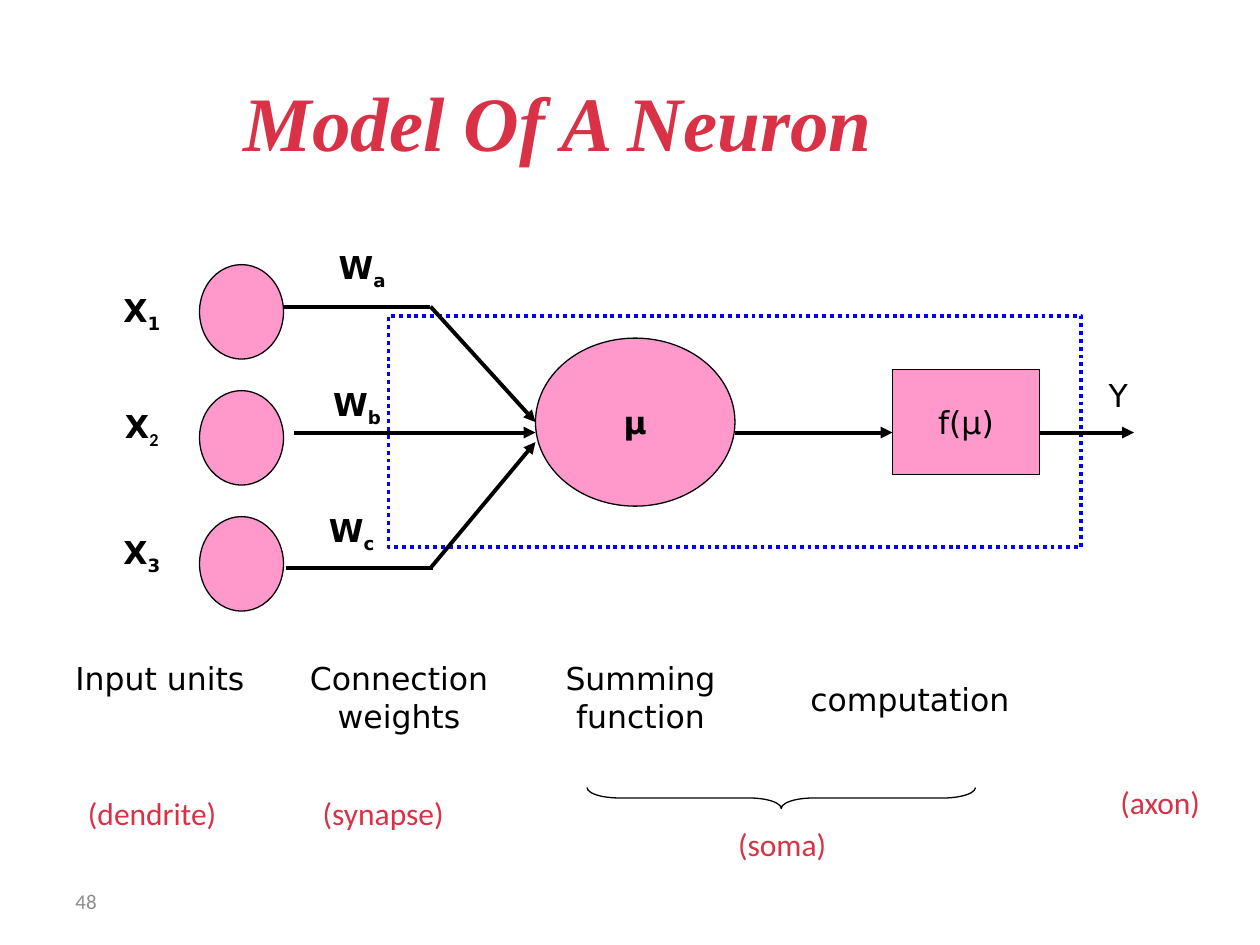
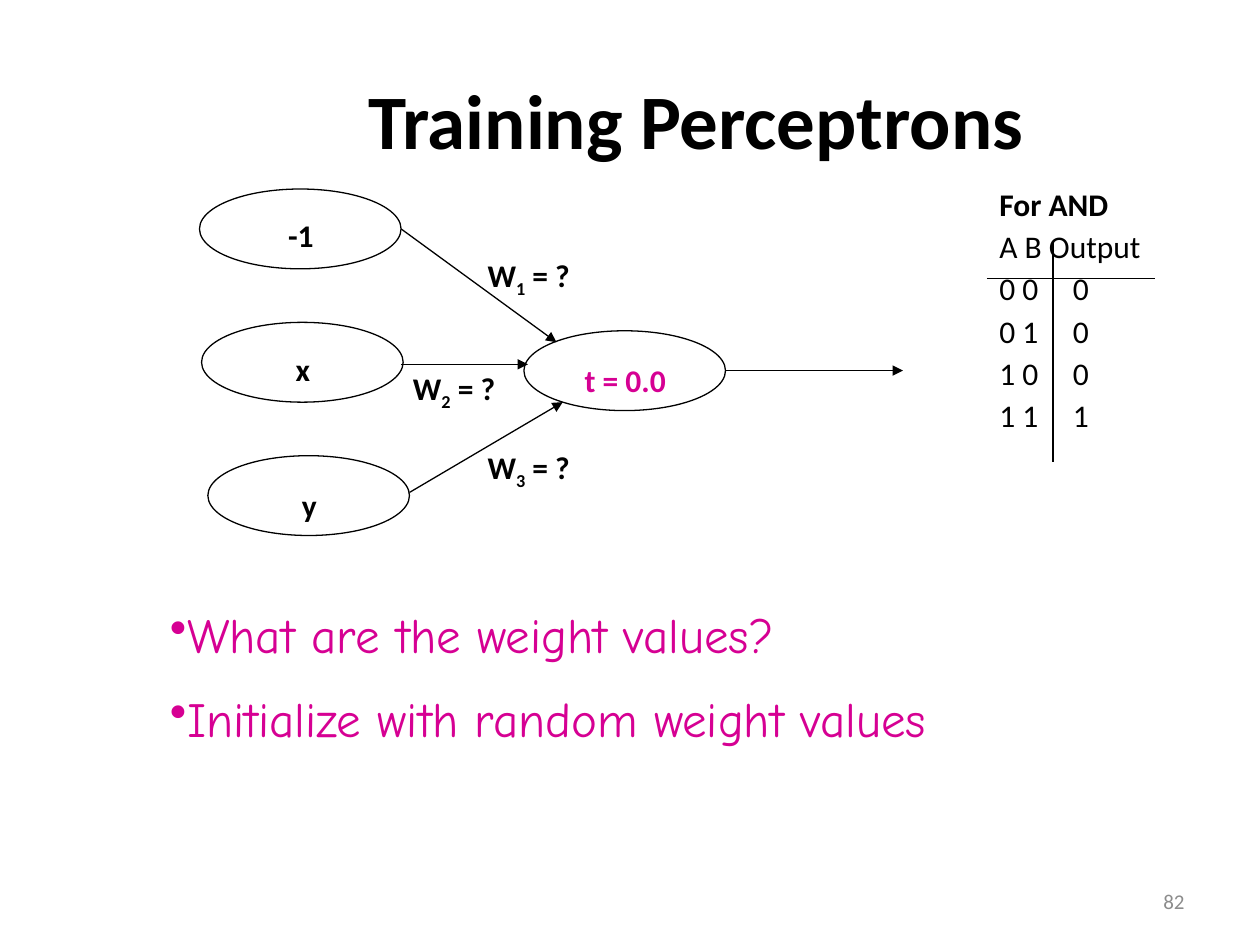
"""Build two slides on neurons and perceptron training."""
from lxml import etree
from pptx import Presentation
from pptx.dml.color import RGBColor
from pptx.enum.dml import MSO_LINE
from pptx.enum.shapes import MSO_CONNECTOR, MSO_SHAPE
from pptx.enum.text import MSO_ANCHOR, PP_ALIGN
from pptx.oxml.ns import qn
from pptx.util import Inches, Pt

BLACK = RGBColor(0x00, 0x00, 0x00)
WHITE = RGBColor(0xFF, 0xFF, 0xFF)
PINK = RGBColor(0xFF, 0x99, 0xCC)
RED = RGBColor(0xD9, 0x31, 0x45)
MAGENTA = RGBColor(0xD6, 0x00, 0x93)
BLUE = RGBColor(0x00, 0x00, 0xFF)
GREY = RGBColor(0x8C, 0x8C, 0x8C)
OVAL, RECT, BRACE = MSO_SHAPE.OVAL, MSO_SHAPE.RECTANGLE, MSO_SHAPE.RIGHT_BRACE
LEFT, CENTER, RIGHT = PP_ALIGN.LEFT, PP_ALIGN.CENTER, PP_ALIGN.RIGHT
TOP, MIDDLE = MSO_ANCHOR.TOP, MSO_ANCHOR.MIDDLE
DOTTED = MSO_LINE.ROUND_DOT

DIAGRAM = {"name": "DejaVu Sans", "size": Pt(18), "bold": False, "color": BLACK}
DIAGRAM_BOLD = {**DIAGRAM, "bold": True}
BODY = {**DIAGRAM, "name": "Calibri"}
BODY_BOLD = {**BODY, "bold": True}
ANATOMY = {**BODY, "color": RED}
NUMBER = {**BODY, "size": Pt(12), "color": GREY}
QUESTION = {**BODY, "name": "Comic Neue", "size": Pt(28), "color": MAGENTA}
TITLE = {**BODY_BOLD, "size": Pt(44)}
TITLE_ITALIC = {**TITLE, "name": "Times New Roman", "italic": True, "color": RED}

prs = Presentation()
prs.slide_width, prs.slide_height = Inches(10), Inches(7.5)
COL, ROW = prs.slide_width / 120, prs.slide_height / 90


def write(sp, box, text, fmt, align=CENTER, anchor=TOP, wrap=True):
    """Place a shape on the grid and fill it; underscores switch subscript on and off."""
    sp.left, sp.top, sp.width, sp.height = (
        round(n * unit) for n, unit in zip(box, (COL, ROW, COL, ROW)))
    tf = sp.text_frame
    tf.word_wrap, tf.vertical_anchor = wrap, anchor
    for i, row in enumerate(text.split("\n")):
        p = tf.add_paragraph() if i else tf.paragraphs[0]
        p.alignment = align
        for j, part in enumerate(row.split("_")):
            r = p.add_run()
            r.text = part
            for key, value in fmt.items():
                if key == "color":
                    r.font.color.rgb = value
                else:
                    setattr(r.font, key, value)
            if j % 2:
                r.font._element.set("baseline", "-25000")
    return sp


def link(s, x1, y1, x2, y2, weight, arrow=True):
    """Draw a straight black line between two grid points."""
    c = s.shapes.add_connector(MSO_CONNECTOR.STRAIGHT, round(x1 * COL), round(y1 * ROW),
                               round(x2 * COL), round(y2 * ROW))
    c.line.color.rgb, c.line.width = BLACK, Pt(weight)
    if arrow:
        etree.SubElement(c.line._get_or_add_ln(), qn("a:tailEnd"), type="triangle")
    etree.SubElement(c._element.spPr, qn("a:effectLst"))


slides = []
for title, box, fmt, align, number, number_col, number_align in (
        ("Model Of A Neuron", (22, 4, 108, 15), TITLE_ITALIC, LEFT, "48", 6, LEFT),
        ("Training Perceptrons", (15.2, 6, 102.2, 10.7), TITLE, CENTER, "82", 86, RIGHT)):
    s = prs.slides.add_slide(prs.slide_layouts[5])
    write(s.shapes.title, box, title, fmt, align, MIDDLE)
    write(s.shapes.add_textbox(0, 0, 0, 0), (number_col, 83.4, 28, 4.8), number, NUMBER,
          number_align, MIDDLE)
    slides.append(s)
neuron, training = slides

inputs = [(OVAL, (19, 25.2 + 12 * i, 8, 9), "", DIAGRAM) for i in range(3)]
for kind, box, text, fmt in inputs + [
        (OVAL, (51, 32.2, 19, 16), "μ", DIAGRAM_BOLD),
        (RECT, (85, 35.2, 14, 10), "f(μ)", DIAGRAM)]:
    sp = write(neuron.shapes.add_shape(kind, 0, 0, 0, 0), box, text, fmt, CENTER, MIDDLE, False)
    sp.shadow.inherit = False
    sp.fill.solid()
    sp.fill.fore_color.rgb = PINK
    sp.line.color.rgb, sp.line.width = BLACK, Pt(0.75)

for kind, box, color, weight in ((RECT, (37, 30.1, 66, 22), BLUE, 2.25),
                                 (BRACE, (73.4, 57.5, 2, 37), BLACK, 0.75)):
    sp = write(neuron.shapes.add_shape(kind, 0, 0, 0, 0), box, "", DIAGRAM)
    sp.shadow.inherit = False
    sp.fill.background()
    sp.line.color.rgb, sp.line.width = color, Pt(weight)
    if kind == RECT:
        sp.line.dash_style = DOTTED
    else:
        sp.rotation = 90
        sp.adjustments[0] = 1.54

for x1, y1, x2, y2, arrow in (
        (28, 41.2, 51, 41.2, True), (70, 41.2, 85, 41.2, True), (99, 41.2, 108, 41.2, True),
        (27, 29.2, 41, 29.2, False), (41, 29.2, 51, 40.2, True),
        (27.2, 54.1, 41.2, 54.1, False), (41, 54.1, 51, 42.1, True)):
    link(neuron, x1, y1, x2, y2, 2.25, arrow)

for x, y, w, h, text, fmt, align in (
        (99, 35.2, 15, 4.8, "Y", DIAGRAM, CENTER),
        (27, 23, 15, 4.8, "W_a", DIAGRAM_BOLD, CENTER),
        (26.5, 36.1, 15, 4.8, "W_b", DIAGRAM_BOLD, CENTER),
        (26, 48.1, 15, 4.8, "W_c", DIAGRAM_BOLD, CENTER),
        (6, 27.1, 15, 4.8, "X_1", DIAGRAM_BOLD, CENTER),
        (6, 38.2, 15, 4.8, "X_2", DIAGRAM_BOLD, CENTER),
        (6, 50.2, 15, 4.8, "X_3", DIAGRAM_BOLD, CENTER),
        (6, 62.2, 22, 4.8, "Input units", DIAGRAM, LEFT),
        (27, 62.2, 22, 8.5, "Connection weights", DIAGRAM, CENTER),
        (50, 62.2, 22, 8.5, "Summing function", DIAGRAM, CENTER),
        (76, 64.2, 24, 4.8, "computation", DIAGRAM, LEFT),
        (5, 75, 19, 4.9, "(dendrite)", ANATOMY, CENTER),
        (27, 75, 19, 4.9, "(synapse)", ANATOMY, CENTER),
        (65, 78, 19, 4.9, "(soma)", ANATOMY, CENTER),
        (101, 74, 19, 4.9, "(axon)", ANATOMY, CENTER)):
    sp = write(neuron.shapes.add_textbox(0, 0, 0, 0), (x, y, w, h), text, fmt, align)
    if text == "X_2":
        sp.text_frame.paragraphs[0].runs[1].font.name = "Calibri"

for x, y, drop, text, color in ((49.9, 31.5, 2.3, "t = 0.0", MAGENTA),
                                (19, 18, 2, "-1", BLACK),
                                (19.2, 30.7, 2, "x", BLACK),
                                (19.8, 43.4, 2.3, "y", BLACK)):
    sp = write(training.shapes.add_shape(OVAL, 0, 0, 0, 0), (x, y, 19.2, 7.6), "", BODY)
    sp.shadow.inherit = False
    sp.fill.solid()
    sp.fill.fore_color.rgb = WHITE
    sp.line.color.rgb, sp.line.width = BLACK, Pt(0.75)
    write(training.shapes.add_textbox(0, 0, 0, 0), (x + 1.3, y + drop, 16.7, 3.6), text,
          {**BODY_BOLD, "color": color})

for x, y, text in ((42, 23.8, "W_1_ = ?"), (34.9, 34.6, "W_2_ = ?"), (42, 42.1, "W_3_ = ?")):
    write(training.shapes.add_textbox(0, 0, 0, 0), (x, y, 16.7, 3.6), text, BODY_BOLD)

sp = write(training.shapes.add_textbox(0, 0, 0, 0), (94, 18, 16.9, 25.6),
           "For AND\nA B Output\n0 0\t0\n0 1\t0\n1 0\t0\n1 1\t1", BODY, LEFT)
for i, p in enumerate(sp.text_frame.paragraphs):
    p.line_spacing = 0.7
    if i:
        p.space_before = Pt(9)
    else:
        p.runs[0].font.bold = True
    tabs = etree.SubElement(p._p.get_or_add_pPr(), qn("a:tabLst"))
    etree.SubElement(tabs, qn("a:tab"), pos=str(round(7 * COL)), algn="l")

for x1, y1, x2, y2, arrow in (
        (38.2, 21.8, 53, 32.6, True), (38.2, 34.7, 50.3, 34.7, True),
        (39, 46.9, 53.6, 38.3, True), (69.1, 35.3, 86, 35.3, True),
        (94, 26.5, 110, 26.5, False), (100.3, 23, 100.3, 44, False)):
    link(training, x1, y1, x2, y2, 0.75, arrow)

for y, w, text in ((57, 78, "What are the weight values?"),
                   (65, 90, "Initialize with random weight values")):
    sp = write(training.shapes.add_textbox(0, 0, 0, 0), (15, y, w, 6.8), text, QUESTION, LEFT)
    pPr = sp.text_frame.paragraphs[0]._p.get_or_add_pPr()
    etree.SubElement(pPr, qn("a:buChar"), char="•")

prs.save("out.pptx")
